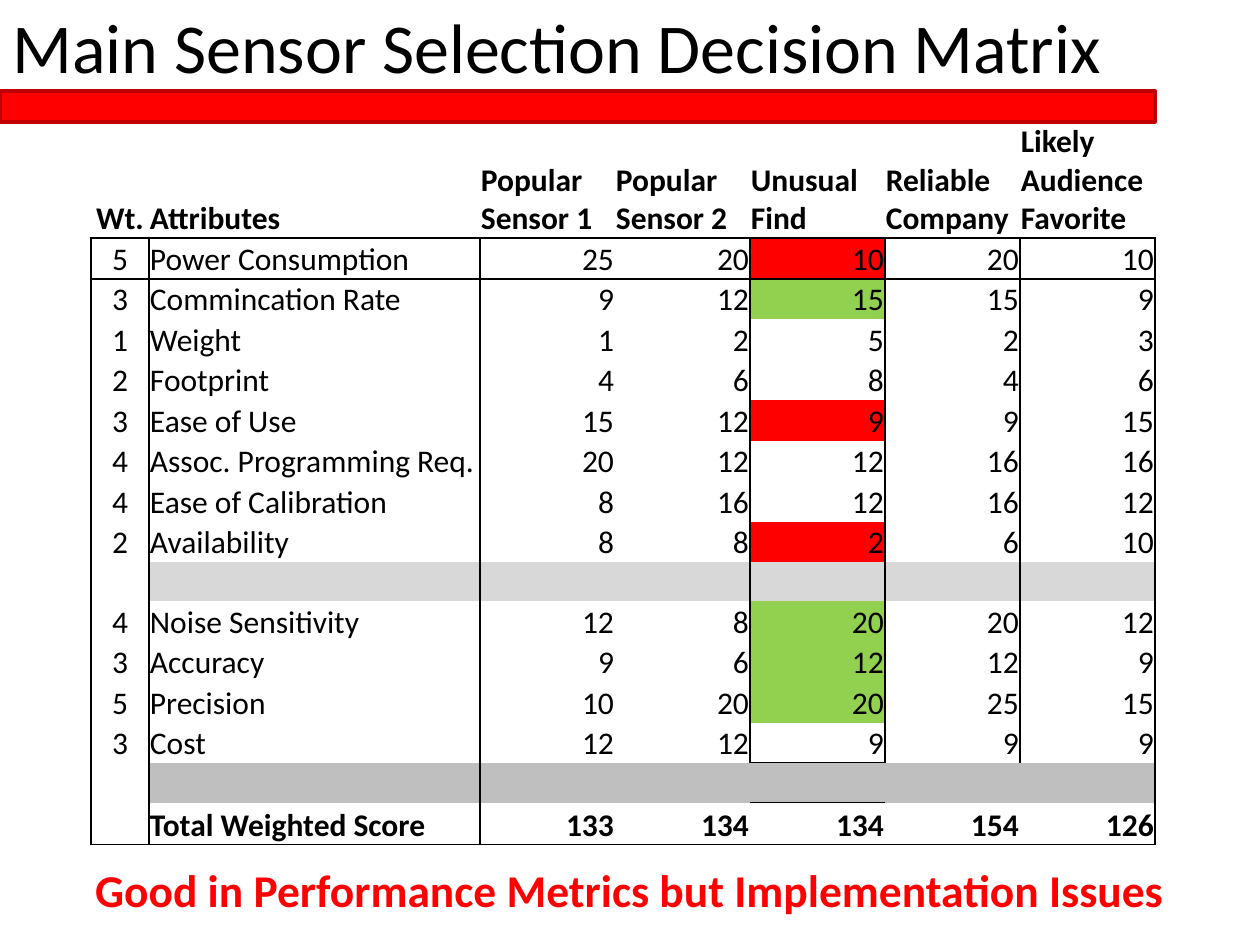
from dataclasses import dataclass
from typing import NamedTuple, Optional

from lxml.etree import SubElement
from pptx import Presentation
from pptx.dml.color import RGBColor as Color
from pptx.enum.shapes import MSO_SHAPE as Shape
from pptx.enum.text import MSO_ANCHOR as Anchor, MSO_AUTO_SIZE as AutoSize, PP_ALIGN as Align
from pptx.oxml.ns import qn
from pptx.util import Emu, Pt

PX_PER_INCH = 126
NO_STYLE = "{2D5ABB26-0587-4C30-8999-92F81FD0307C}"


def px(count: int) -> Emu:
    return Emu(round(count * 914400 / PX_PER_INCH))


@dataclass(frozen=True)
class Theme:
    font: str = "Calibri"
    ink: str = "000000"
    red: str = "FF0000"
    dark_red: str = "C00000"
    green: str = "92D050"
    light_gray: str = "D8D8D8"
    gray: str = "BFBFBF"
    title_size: int = 40
    note_size: int = 26
    table_size: int = 18
    bar_line: int = 2
    cell_line: int = 1


THEME = Theme()


class Box(NamedTuple):
    left: int
    top: int
    width: int
    height: int

    def lengths(self) -> list[Emu]:
        return [px(value) for value in self]


class Caption(NamedTuple):
    text: str
    box: Box
    size: int
    color: str
    bold: bool
    align: Align
    wrap: bool


class Row(NamedTuple):
    height: int
    weight: str = ""
    label: str = ""
    scores: tuple = ("",) * 5
    mark: Optional[str] = None   # fill of the highlighted column
    band: Optional[str] = None   # fill of a separator row
    bold: bool = False

    def texts(self) -> list[str]:
        return [self.weight, self.label, *map(str, self.scores)]

    def fill(self, column: int) -> Optional[str]:
        if column == MARKED and self.mark:
            return self.mark
        return self.band if column > 0 else None


CAPTIONS = [
    Caption("Main Sensor Selection Decision Matrix", Box(0, -3, 1125, 97),
            THEME.title_size, THEME.ink, False, Align.LEFT, False),
    Caption("Good in Performance Metrics but Implementation Issues", Box(0, 856, 1260, 68),
            THEME.note_size, THEME.red, True, Align.CENTER, True),
]
BAR = Box(0, 91, 1155, 31)
COLUMNS = [58, 331] + [135] * 5
MARKED = 4
ROWS = [
    Row(122, "Wt.", "Attributes", ("Popular Sensor 1", "Popular Sensor 2", "Unusual Find",
                                   "Reliable Company", "Likely Audience Favorite"), bold=True),
    Row(41, "5", "Power Consumption", (25, 20, 10, 20, 10), THEME.red),
    Row(40, "3", "Commincation Rate", (9, 12, 15, 15, 9), THEME.green),
    Row(41, "1", "Weight", (1, 2, 5, 2, 3)),
    Row(40, "2", "Footprint", (4, 6, 8, 4, 6)),
    Row(41, "3", "Ease of Use", (15, 12, 9, 9, 15), THEME.red),
    Row(40, "4", "Assoc. Programming Req.", (20, 12, 12, 16, 16)),
    Row(41, "4", "Ease of Calibration", (8, 16, 12, 16, 12)),
    Row(40, "2", "Availability", (8, 8, 2, 6, 10), THEME.red),
    Row(39, band=THEME.light_gray),
    Row(41, "4", "Noise Sensitivity", (12, 8, 20, 20, 12), THEME.green),
    Row(40, "3", "Accuracy", (9, 6, 12, 12, 9), THEME.green),
    Row(41, "5", "Precision", (10, 20, 20, 25, 15), THEME.green),
    Row(40, "3", "Cost", (12, 12, 9, 9, 9)),
    Row(40, band=THEME.gray),
    Row(42, "", "Total Weighted Score", (133, 134, 134, 154, 126), bold=True),
]
TABLE = Box(91, 116, sum(COLUMNS), sum(row.height for row in ROWS))


class Frame(NamedTuple):
    """A block of cells, first to last, with a line around it."""
    first_row: int
    last_row: int
    first_column: int
    last_column: int

    def sides(self, row: int, column: int) -> set[str]:
        """Sides of a cell on this outline, whether it lies inside or beside it."""
        top, bottom, left, right = self
        found = set()
        if top <= row <= bottom:
            found |= {side for side, at in (("L", left), ("R", left - 1),
                                           ("R", right), ("L", right + 1)) if column == at}
        if left <= column <= right:
            found |= {side for side, at in (("T", top), ("B", top - 1),
                                           ("B", bottom), ("T", bottom + 1)) if row == at}
        return found


LAST_ROW, LAST_COLUMN = len(ROWS) - 1, len(COLUMNS) - 1
COST_ROW = next(i for i, row in enumerate(ROWS) if row.label == "Cost")
FRAMES = [Frame(1, LAST_ROW, 0, 0), Frame(1, LAST_ROW, 1, LAST_COLUMN),
          Frame(1, COST_ROW, MARKED, MARKED)]


def add_span(para, text: str, size: int, color: str, bold: bool) -> None:
    span = para.add_run()
    span.text = text
    span.font.name = THEME.font
    span.font.size = Pt(size)
    span.font.bold = bold
    span.font.color.rgb = Color.from_string(color)


def add_caption(page, caption: Caption) -> None:
    frame = page.shapes.add_textbox(*caption.box.lengths()).text_frame
    frame.word_wrap = caption.wrap
    frame.auto_size = AutoSize.SHAPE_TO_FIT_TEXT
    para = frame.paragraphs[0]
    para.alignment = caption.align
    add_span(para, caption.text, caption.size, caption.color, caption.bold)


def add_bar(page) -> None:
    bar = page.shapes.add_shape(Shape.RECTANGLE, *BAR.lengths())
    bar.shadow.inherit = False
    bar.fill.solid()
    bar.fill.fore_color.rgb = Color.from_string(THEME.red)
    bar.line.color.rgb = Color.from_string(THEME.dark_red)
    bar.line.width = Pt(THEME.bar_line)


def add_borders(cell, sides: set[str]) -> None:
    properties = cell._tc.get_or_add_tcPr()
    for side in "LRTB":
        if side in sides:
            line = SubElement(properties, qn(f"a:ln{side}"), w=str(Pt(THEME.cell_line)))
            fill = SubElement(line, qn("a:solidFill"))
            SubElement(fill, qn("a:srgbClr"), val=THEME.ink)


def fill_cell(cell, row: Row, row_index: int, column: int) -> None:
    text = row.texts()[column]
    cell.vertical_anchor = Anchor.BOTTOM
    cell.margin_left = cell.margin_right = px(1)
    cell.margin_top = px(1 if text else 0)
    cell.margin_bottom = 0
    add_borders(cell, set().union(*(frame.sides(row_index, column) for frame in FRAMES)))
    color = row.fill(column)
    if color:
        cell.fill.solid()
        cell.fill.fore_color.rgb = Color.from_string(color)
    if text:
        para = cell.text_frame.paragraphs[0]
        score_align = Align.LEFT if row_index == 0 else Align.RIGHT
        para.alignment = (Align.CENTER, Align.LEFT)[column] if column < 2 else score_align
        add_span(para, text, THEME.table_size, THEME.ink, row.bold)


def add_matrix(page) -> None:
    table = page.shapes.add_table(len(ROWS), len(COLUMNS), *TABLE.lengths()).table
    table.first_row = table.horz_banding = False
    table._tbl.tblPr.find(qn("a:tableStyleId")).text = NO_STYLE
    for index, width in enumerate(COLUMNS):
        table.columns[index].width = px(width)
    for row_index, row in enumerate(ROWS):
        table.rows[row_index].height = px(row.height)
        for column in range(len(COLUMNS)):
            fill_cell(table.cell(row_index, column), row, row_index, column)


def main() -> None:
    deck = Presentation()
    deck.slide_width, deck.slide_height = px(1260), px(945)
    page = deck.slides.add_slide(deck.slide_layouts[6])
    title, note = CAPTIONS
    add_bar(page)
    add_caption(page, title)
    add_matrix(page)
    add_caption(page, note)
    deck.save("out.pptx")


if __name__ == "__main__":
    main()
